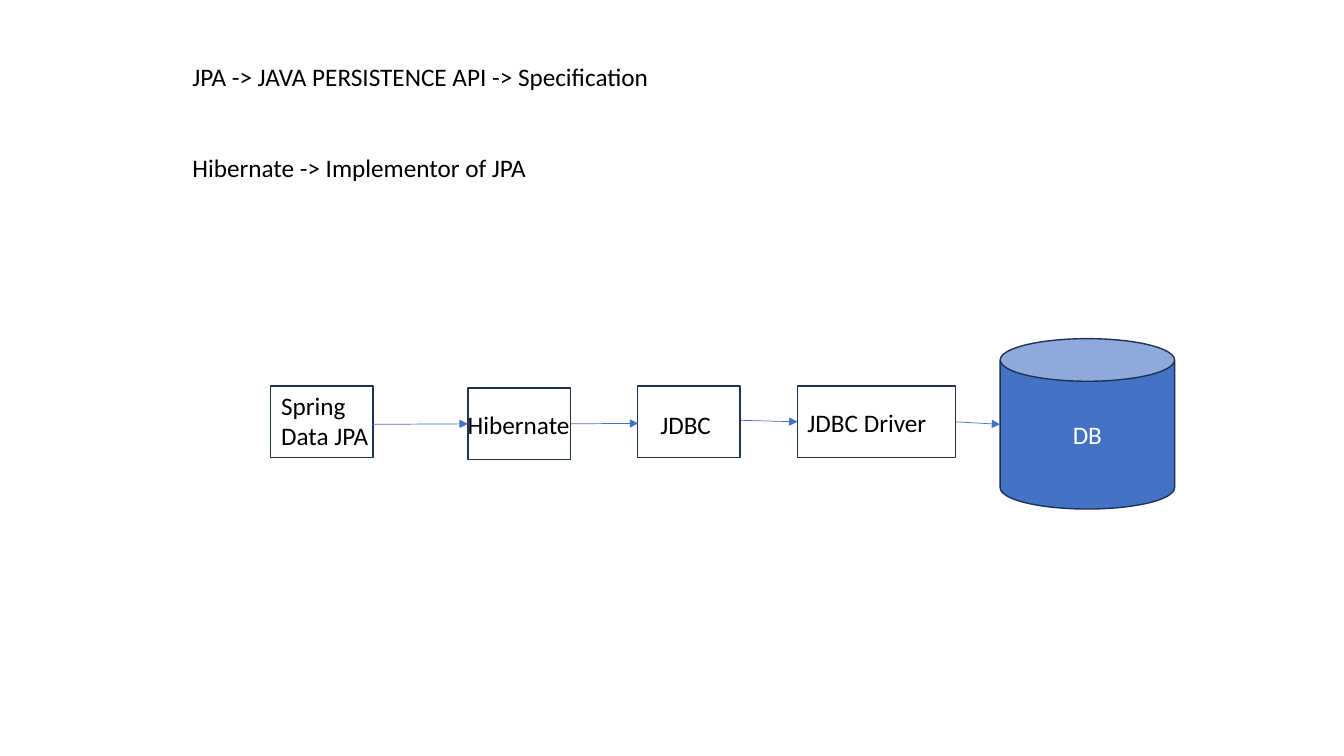
"""Builds a slide on how Spring Data JPA reaches a database through Hibernate and JDBC."""
import pptx
import pptx.dml.color
import pptx.enum.shapes
import pptx.enum.text
import pptx.oxml.ns
import pptx.util
from lxml import etree

Inches, Pt = pptx.util.Inches, pptx.util.Pt
SHAPE = pptx.enum.shapes.MSO_SHAPE
COLORS = {"text": "000000", "blue": "4472C4", "outline": "1E3256", "white": "FFFFFF"}
FONT = {"name": "Calibri", "size": Pt(18)}


def rgb(name):
    return pptx.dml.color.RGBColor.from_string(COLORS[name])


def write(tf, lines, color="text", align=None, gap=0):
    for i, line in enumerate(lines):
        p = tf.paragraphs[0] if i == 0 else tf.add_paragraph()
        p.alignment = align
        if i and gap:
            p.space_before = Pt(gap)
        r = p.add_run()
        r.text = line
        for key, value in FONT.items():
            setattr(r.font, key, value)
        r.font.color.rgb = rgb(color)


def add_text(s, at, lines, gap=0):
    tf = s.shapes.add_textbox(*map(Inches, at)).text_frame
    tf.word_wrap = True
    write(tf, lines, gap=gap)


def add_outlined(s, kind, at, fill=None):
    sp = s.shapes.add_shape(kind, *map(Inches, at))
    sp.shadow.inherit = False
    if fill:
        sp.fill.solid()
        sp.fill.fore_color.rgb = rgb(fill)
    else:
        sp.fill.background()
    sp.line.color.rgb = rgb("outline")
    sp.line.width = Pt(1)
    return sp


def add_stage(s, box, label_at, lines):
    sp = add_outlined(s, SHAPE.RECTANGLE, box)
    add_text(s, label_at, lines)
    return sp


def add_database(s, at, label):
    tf = add_outlined(s, SHAPE.CAN, at, "blue").text_frame
    tf.vertical_anchor = pptx.enum.text.MSO_ANCHOR.MIDDLE
    write(tf, [label], "white", pptx.enum.text.PP_ALIGN.CENTER)


def add_arrow(s, ends, source=None, target=None):
    line = s.shapes.add_connector(pptx.enum.shapes.MSO_CONNECTOR.STRAIGHT, *map(Inches, ends))
    if source is not None:
        line.begin_connect(source, 3)
    if target is not None:
        line.end_connect(target, 1)
    line.line.color.rgb = rgb("blue")
    line.line.width = Pt(0.5)
    qn = pptx.oxml.ns.qn
    etree.SubElement(line.line._get_or_add_ln(), qn("a:tailEnd"), type="triangle")
    etree.SubElement(line._element.spPr, qn("a:effectLst"))


def main():
    prs = pptx.Presentation()
    prs.slide_width, prs.slide_height = Inches(13.33), Inches(7.5)
    s = prs.slides.add_slide(prs.slide_layouts[6])

    add_text(s, (1.81, 0.56, 9.97, 1.31),
             ["JPA -> JAVA PERSISTENCE API -> Specification", "Hibernate -> Implementor of JPA"],
             gap=43)

    add_stage(s, (2.68, 3.83, 1.02, 0.71), (2.69, 3.82, 1.45, 0.71), ["Spring", "Data JPA"])
    hibernate = add_stage(s, (4.64, 3.85, 1.02, 0.71), (4.54, 4.01, 1.45, 0.4), ["Hibernate"])
    add_stage(s, (6.32, 3.83, 1.02, 0.71), (6.45, 4.01, 1.45, 0.4), ["JDBC"])
    driver = add_stage(s, (7.91, 3.83, 1.57, 0.71), (7.91, 3.99, 1.45, 0.4), ["JDBC Driver"])
    add_database(s, (9.92, 3.36, 1.73, 1.69), "DB")

    add_arrow(s, (3.69, 4.21, 4.64, 4.21), target=hibernate)
    add_arrow(s, (5.66, 4.2, 6.33, 4.2), source=hibernate)
    add_arrow(s, (7.35, 4.17, 7.91, 4.19), target=driver)
    add_arrow(s, (9.48, 4.19, 9.92, 4.21), source=driver)

    prs.save("out.pptx")


if __name__ == "__main__":
    main()
